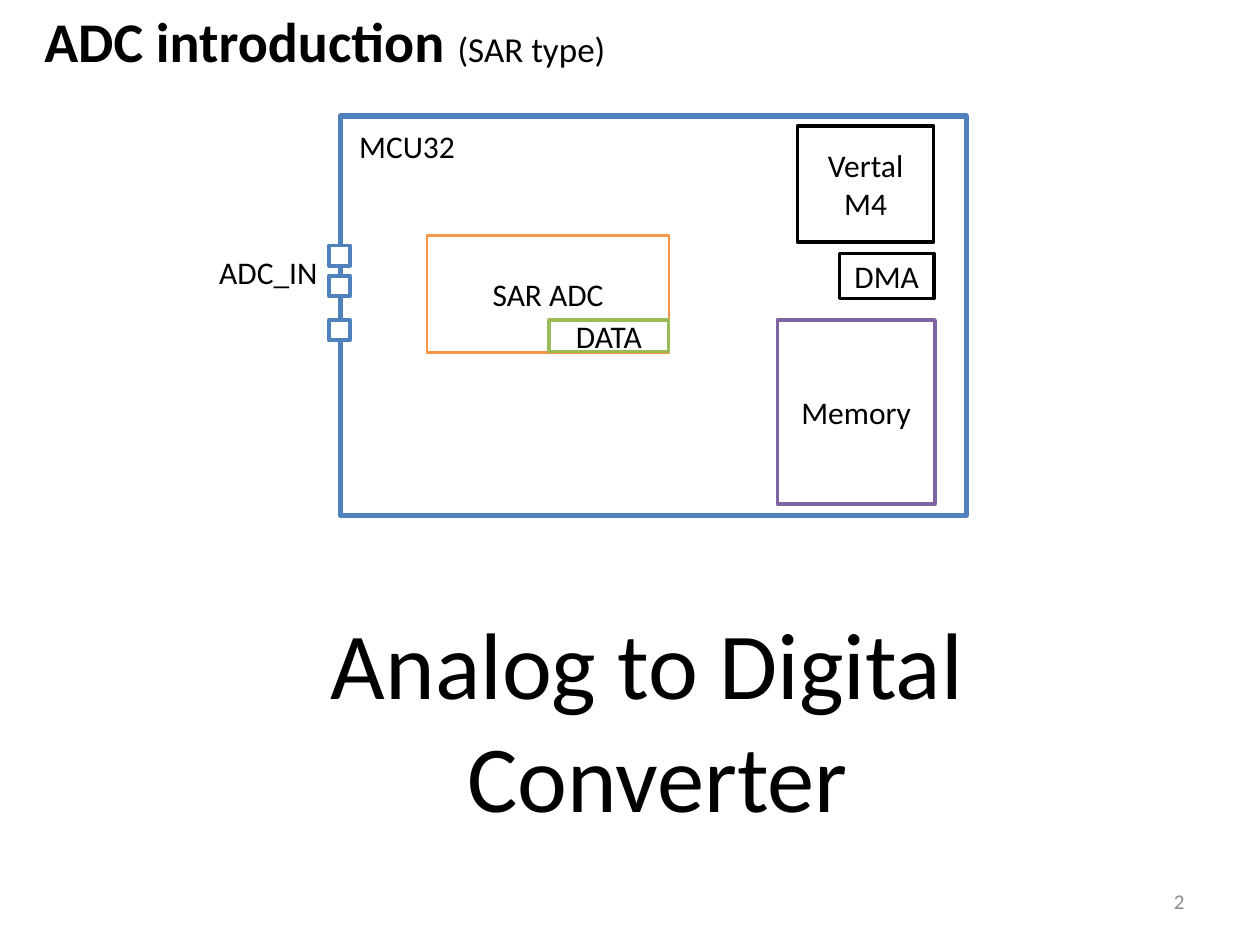
from pptx import Presentation
from pptx.dml.color import RGBColor
from pptx.enum.shapes import MSO_SHAPE as Shape
from pptx.enum.text import MSO_ANCHOR as Anchor, MSO_AUTO_SIZE as AutoSize, PP_ALIGN as Align
from pptx.util import Cm, Pt

FONT = "Calibri"
BLUE = "4F81BD"
BLACK = "000000"
WHITE = "FFFFFF"


def color(hex_code):
    return RGBColor.from_string(hex_code)


def format_run(run, size=18, hex_code=BLACK, bold=False):
    run.font.name = FONT
    run.font.size = Pt(size)
    run.font.bold = bold
    run.font.color.rgb = color(hex_code)


def write_text(frame, text, align=Align.LEFT, anchor=Anchor.TOP, wrap=True, **run_format):
    """Fill a frame; a newline starts a paragraph, a vertical tab breaks a line."""
    frame.word_wrap = wrap
    frame.vertical_anchor = anchor
    frame.text = text
    for paragraph in frame.paragraphs:
        paragraph.alignment = align
        for run in paragraph.runs:
            format_run(run, **run_format)


def add_label(shapes, text, left, top, width, height, **text_format):
    box = shapes.add_textbox(Cm(left), Cm(top), Cm(width), Cm(height))
    write_text(box.text_frame, text, **text_format)


def add_block(shapes, left, top, width, height, line, weight=2, text=""):
    block = shapes.add_shape(Shape.RECTANGLE, Cm(left), Cm(top), Cm(width), Cm(height))
    block.shadow.inherit = False
    block.fill.solid()
    block.fill.fore_color.rgb = color(WHITE)
    block.line.color.rgb = color(line)
    block.line.width = Pt(weight)
    if text:
        write_text(block.text_frame, text, align=Align.CENTER, anchor=Anchor.MIDDLE)


def add_title(slide):
    title = slide.shapes.title
    title.left, title.top, title.width, title.height = Cm(0.64), Cm(0), Cm(16.94), Cm(1.63)
    frame = title.text_frame
    frame.auto_size = AutoSize.NONE
    write_text(frame, "ADC introduction ", size=32, bold=True)
    subtitle = frame.paragraphs[0].add_run()
    subtitle.text = "(SAR type)"
    format_run(subtitle, size=20)


def add_diagram(slide):
    shapes = slide.shapes.add_group_shape().shapes

    # Chip outline and converter
    add_block(shapes, 6.86, 2.34, 12.62, 8.05, BLUE, weight=3)
    add_block(shapes, 8.61, 4.75, 4.88, 2.36, "F79646", weight=1.5, text="SAR ADC")
    add_label(shapes, "MCU32", 6.99, 2.44, 3.81, 1.07)

    # Data register, processor, memory and transfer unit
    add_block(shapes, 11.07, 6.45, 2.41, 0.64, "9BBB59", text="DATA")
    add_block(shapes, 16.08, 2.54, 2.74, 2.34, BLACK, text="Vertal\nM4")
    add_block(shapes, 15.67, 6.45, 3.18, 3.71, "8064A2", text="Memory")
    add_block(shapes, 16.92, 5.11, 1.91, 0.91, BLACK, text="DMA")

    # Input pins on the chip's left edge
    add_label(shapes, "ADC_IN", 4.17, 4.98, 2.54, 1.02)
    for top in (4.95, 5.56, 6.45):
        add_block(shapes, 6.63, top, 0.43, 0.41, BLUE)


def main():
    presentation = Presentation()
    presentation.slide_width, presentation.slide_height = Cm(25.4), Cm(19.05)
    slide = presentation.slides.add_slide(presentation.slide_layouts[5])

    add_title(slide)
    add_diagram(slide)

    # Caption and page number
    add_label(slide.shapes, "Analog to Digital \vConverter", 6.35, 12.07, 13.82, 4.88,
              align=Align.CENTER, wrap=False, size=54)
    add_label(slide.shapes, "2", 18.21, 17.65, 5.92, 1.02,
              align=Align.RIGHT, anchor=Anchor.MIDDLE, size=12, hex_code="8C8C8C")

    presentation.save("out.pptx")


if __name__ == "__main__":
    main()
